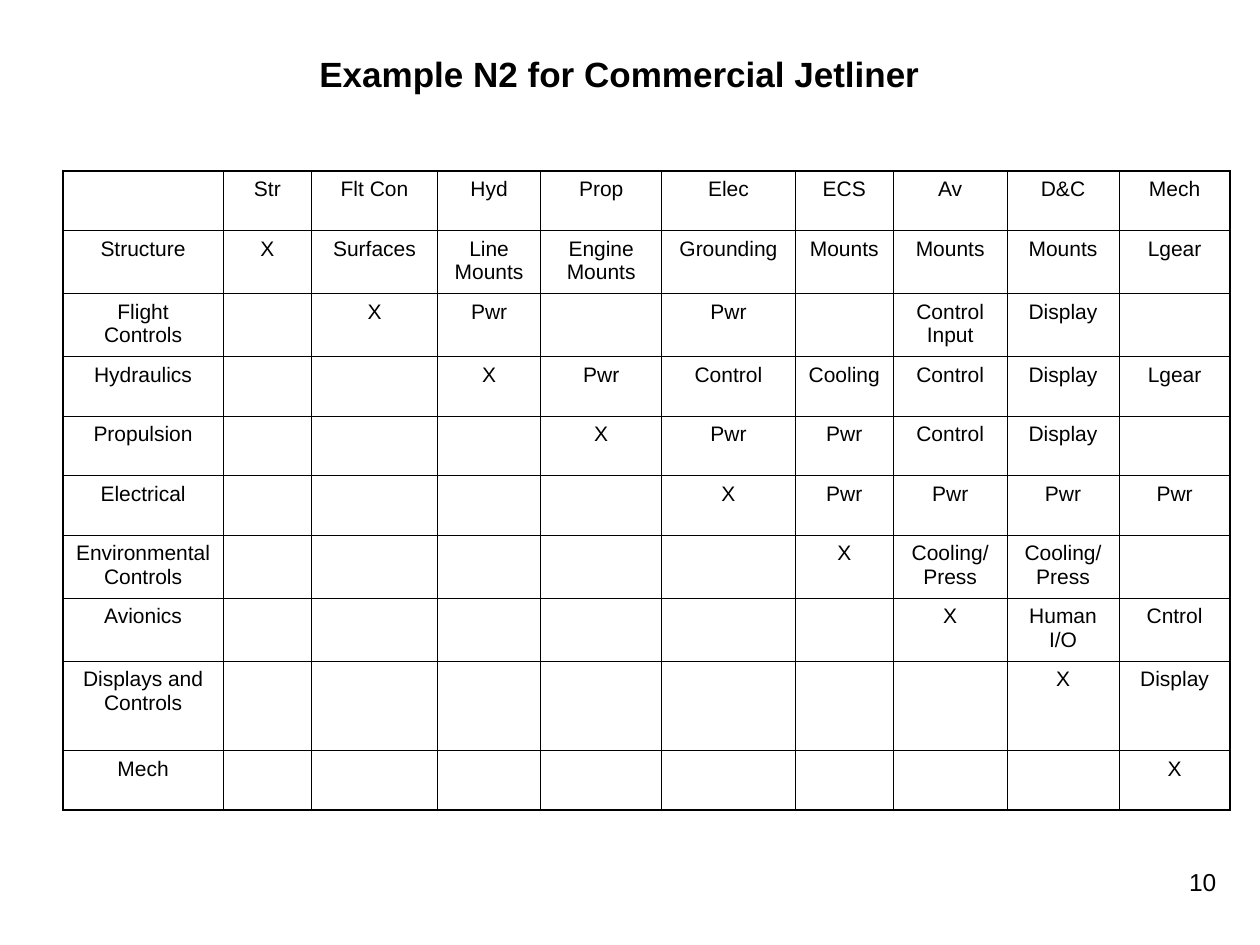
"""Build an N2 interface matrix slide for a commercial jetliner."""
from lxml.etree import SubElement
from pptx import Presentation
from pptx.dml.color import RGBColor
from pptx.enum.text import MSO_ANCHOR, PP_ALIGN
from pptx.oxml.ns import qn
from pptx.util import Cm, Pt

TITLE = "Example N2 for Commercial Jetliner"
PAGE_NUMBER = "10"
HEADINGS = ["Str", "Flt Con", "Hyd", "Prop", "Elec", "ECS", "Av", "D&C", "Mech"]
INTERFACES = [
    ("Structure", ["Surfaces", "Line Mounts", "Engine Mounts", "Grounding",
                   "Mounts", "Mounts", "Mounts", "Lgear"]),
    ("Flight Controls", ["Pwr", "", "Pwr", "", "Control Input", "Display", ""]),
    ("Hydraulics", ["Pwr", "Control", "Cooling", "Control", "Display", "Lgear"]),
    ("Propulsion", ["Pwr", "Pwr", "Control", "Display", ""]),
    ("Electrical", ["Pwr", "Pwr", "Pwr", "Pwr"]),
    ("Environmental Controls", ["Cooling/Press", "Cooling/Press", ""]),
    ("Avionics", ["Human I/O", "Cntrol"]),
    ("Displays and Controls", ["Display"]),
    ("Mech", []),
]
COLUMN_WIDTHS = [3.23, 1.78, 2.54, 2.08, 2.44, 2.69, 1.98, 2.29, 2.26, 2.24]
ROW_HEIGHTS = [1.2, 1.27, 1.27, 1.2, 1.2, 1.2, 1.27, 1.27, 1.8, 1.2]
THEME = {
    "ink": "000000",
    "thin": Pt(0.45),
    "thick": Pt(1.08),
    "title": {"name": "Arial", "size": Pt(20), "bold": True},
    "cell": {"name": "Arial", "size": Pt(12), "bold": False},
    "number": {"name": "Arial", "size": Pt(14), "bold": False},
}


def write_text(text_frame, text, style, alignment):
    paragraph = text_frame.paragraphs[0]
    paragraph.alignment = alignment
    if text:
        font = paragraph.add_run().font
        paragraph.runs[0].text = text
        for attribute, value in THEME[style].items():
            setattr(font, attribute, value)
        font.color.rgb = RGBColor.from_string(THEME["ink"])


def add_text_box(slide, text, box, style, alignment, anchor):
    text_frame = slide.shapes.add_textbox(*map(Cm, box)).text_frame
    text_frame.word_wrap = True
    text_frame.vertical_anchor = anchor
    write_text(text_frame, text, style, alignment)


def draw_borders(cell, outer_sides):
    properties = cell._tc.get_or_add_tcPr()
    for side, is_outer in outer_sides.items():
        width = THEME["thick" if is_outer else "thin"]
        line = SubElement(properties, qn(f"a:ln{side}"), w=str(int(width)))
        fill = SubElement(line, qn("a:solidFill"))
        SubElement(fill, qn("a:srgbClr"), val=THEME["ink"])


def add_matrix(slide):
    rows = [["", *HEADINGS]]
    for position, (system, links) in enumerate(INTERFACES):
        rows.append([system, *[""] * position, "X", *links])
    last_row, last_column = len(rows) - 1, len(HEADINGS)
    table = slide.shapes.add_table(
        len(rows), len(COLUMN_WIDTHS), Cm(1.27), Cm(3.45),
        Cm(sum(COLUMN_WIDTHS)), Cm(sum(ROW_HEIGHTS))).table
    table.first_row = table.horz_banding = False
    for column, width in zip(table.columns, COLUMN_WIDTHS):
        column.width = Cm(width)
    for row, height in zip(table.rows, ROW_HEIGHTS):
        row.height = Cm(height)
    for row_index, texts in enumerate(rows):
        for column_index, text in enumerate(texts):
            cell = table.cell(row_index, column_index)
            write_text(cell.text_frame, text, "cell", PP_ALIGN.CENTER)
            draw_borders(cell, {
                "L": column_index == 0, "R": column_index == last_column,
                "T": row_index == 0, "B": row_index == last_row})
            cell.fill.background()


def main():
    presentation = Presentation()
    presentation.slide_width, presentation.slide_height = Cm(25.4), Cm(19.05)
    slide = presentation.slides.add_slide(presentation.slide_layouts[6])
    add_text_box(slide, PAGE_NUMBER, (18.85, 17.35, 5.92, 1.32), "number",
                 PP_ALIGN.RIGHT, MSO_ANCHOR.TOP)
    add_text_box(slide, TITLE, (3.18, 0.43, 18.62, 2.11), "title",
                 PP_ALIGN.CENTER, MSO_ANCHOR.MIDDLE)
    add_matrix(slide)
    presentation.save("out.pptx")


if __name__ == "__main__":
    main()
